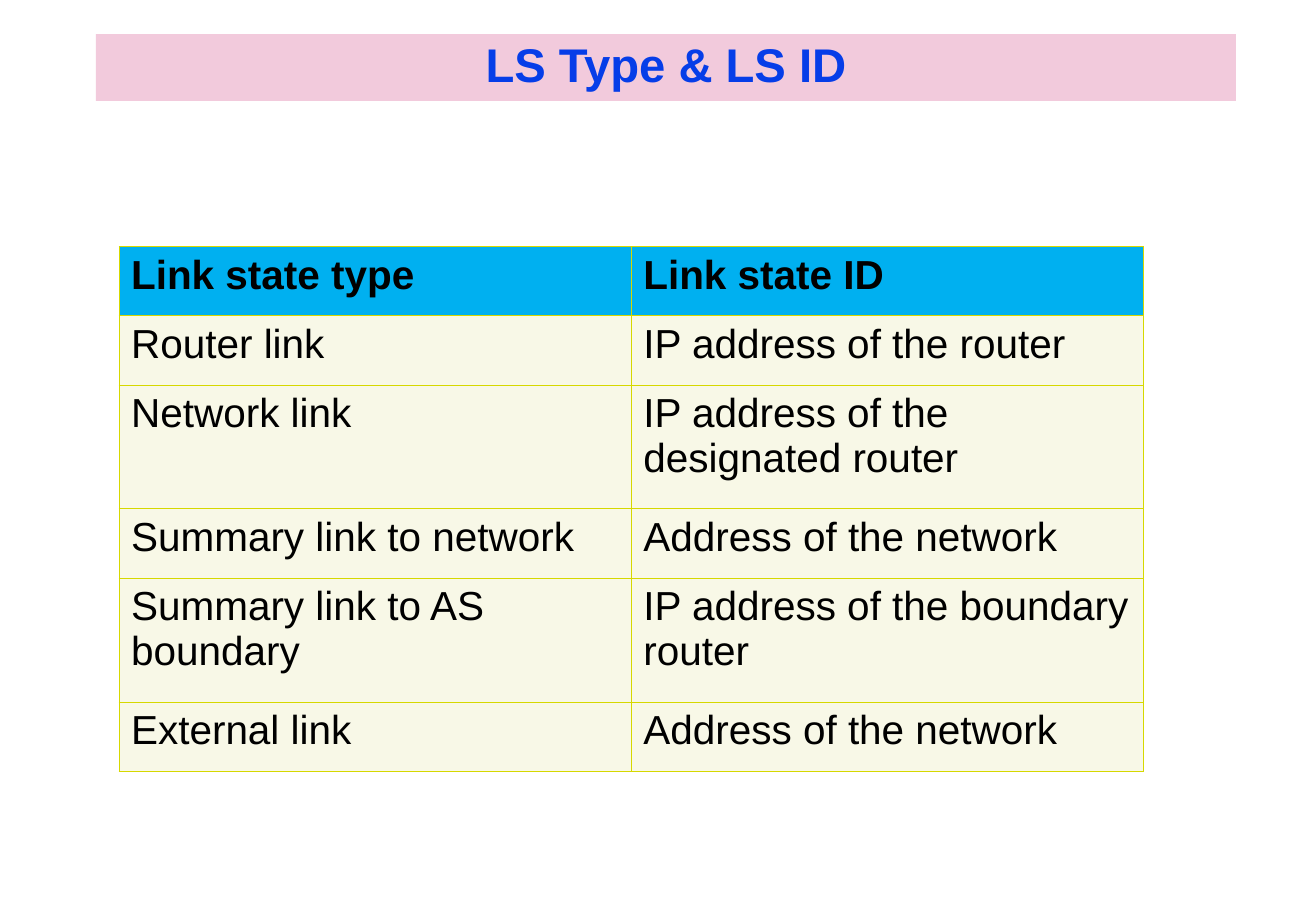
from lxml import etree
from pptx import Presentation
from pptx import util as u
from pptx.dml import color
from pptx.enum import text
from pptx.oxml import ns

HEADER = ("Link state type", "Link state ID")
LINKS = [
    ("Router link", "IP address of the router"),
    ("Network link", "IP address of the\ndesignated router"),
    ("Summary link to network", "Address of the network"),
    ("Summary link to AS boundary", "IP address of the boundary router"),
    ("External link", "Address of the network"),
]
ROW_HEIGHTS = (0.57, 0.57, 1.02, 0.57, 1.02, 0.57)


def rgb(value):
    return color.RGBColor.from_string(value)


class SlideBuilder:
    """Holds the style and the current slide, and adds its elements."""

    font_name = "Arial"
    ink, title_ink, title_fill = "000000", "063DE8", "F2CADC"
    header_fill, body_fill, border = "00B0F0", "F8F8E7", "D6D800"

    def __init__(self, deck):
        self.slide = deck.slides.add_slide(deck.slide_layouts[5])

    def style(self, paragraph, size, ink, bold):
        font = paragraph.font
        font.name, font.size, font.bold = self.font_name, u.Pt(size), bold
        font.color.rgb = rgb(ink)

    def fill(self, target, value):
        target.fill.solid()
        target.fill.fore_color.rgb = rgb(value)

    def title(self, wording, left, top, width, height):
        box = self.slide.shapes.title
        box.left, box.top = u.Inches(left), u.Inches(top)
        box.width, box.height = u.Inches(width), u.Inches(height)
        self.fill(box, self.title_fill)
        frame = box.text_frame
        frame.text = wording
        frame.auto_size = text.MSO_AUTO_SIZE.NONE
        frame.vertical_anchor = text.MSO_ANCHOR.MIDDLE
        para = frame.paragraphs[0]
        para.alignment = text.PP_ALIGN.CENTER
        para.line_spacing = 0.9
        self.style(para, 28, self.title_ink, True)

    def borders(self, cell):
        properties = cell._tc.get_or_add_tcPr()
        for side in ("lnL", "lnR", "lnT", "lnB"):
            line = etree.SubElement(properties, ns.qn(f"a:{side}"), w=str(u.Pt(0.45)))
            solid = etree.SubElement(line, ns.qn("a:solidFill"))
            etree.SubElement(solid, ns.qn("a:srgbClr"), val=self.border)

    def table(self, rows, heights, left, top, column_width):
        columns = len(rows[0])
        table = self.slide.shapes.add_table(
            len(rows), columns, u.Inches(left), u.Inches(top),
            u.Inches(column_width * columns), u.Inches(sum(heights))).table
        table.horz_banding = False
        for column in table.columns:
            column.width = u.Inches(column_width)
        for index, (wordings, height) in enumerate(zip(rows, heights)):
            table.rows[index].height = u.Inches(height)
            is_header = index == 0
            for cell, wording in zip(table.rows[index].cells, wordings):
                cell.text = wording
                self.borders(cell)
                self.fill(cell, self.header_fill if is_header else self.body_fill)
                for para in cell.text_frame.paragraphs:
                    self.style(para, 24, self.ink, is_header)


def main():
    deck = Presentation()
    deck.slide_width, deck.slide_height = u.Inches(10.84), u.Inches(7.5)
    page = SlideBuilder(deck)
    page.title("LS Type & LS ID", 0.79, 0.28, 9.39, 0.55)
    page.table([HEADER] + LINKS, ROW_HEIGHTS, 0.98, 2.03, 4.22)
    deck.save("out.pptx")


if __name__ == "__main__":
    main()
